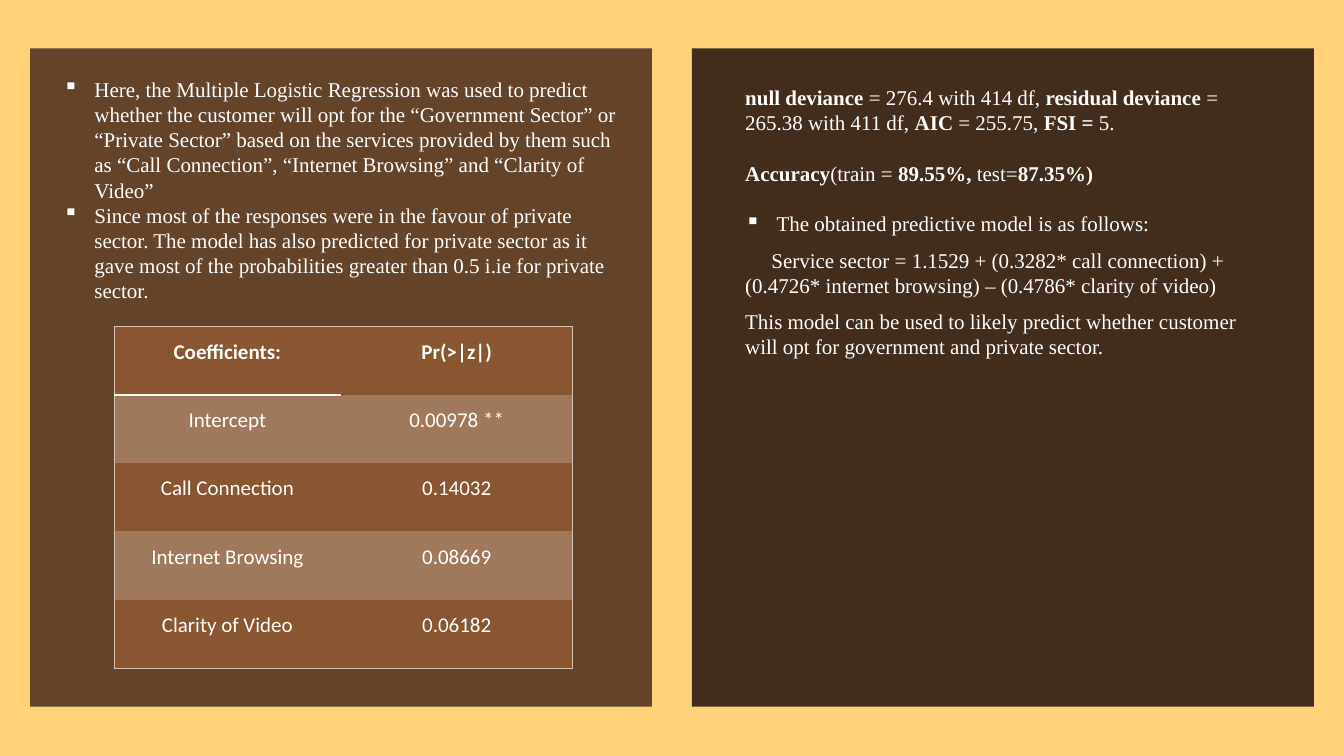
from lxml import etree
from pptx import Presentation
from pptx.dml.color import RGBColor
from pptx.enum import shapes, text
from pptx.oxml import ns
from pptx.util import Cm, Pt

SAND = RGBColor(0xFF, 0xD2, 0x7A)
BROWN = RGBColor(0x64, 0x43, 0x2B)
DARK_BROWN = RGBColor(0x42, 0x2C, 0x1C)
ROW_DARK = RGBColor(0x88, 0x57, 0x32)
ROW_LIGHT = RGBColor(0xA0, 0x78, 0x5B)
BORDER = RGBColor(0xCE, 0xC4, 0xBF)
WHITE = RGBColor(0xFF, 0xFF, 0xFF)

SERIF, SANS = "Times New Roman", "Calibri"
HANG = Cm(0.79)

FINDINGS = [
    "Here, the Multiple Logistic Regression was used to predict whether the customer "
    "will opt for the “Government Sector” or “Private Sector” based on the services "
    "provided by them such as “Call Connection”, “Internet Browsing” and “Clarity of Video”",
    "Since most of the responses were in the favour of private sector. The model has also "
    "predicted for private sector as it gave most of the probabilities greater than 0.5 "
    "i.ie for private sector.",
]
COEFFICIENTS = [
    ("Coefficients:", "Pr(>|z|)"),
    ("Intercept", "0.00978 **"),
    ("Call Connection", "0.14032"),
    ("Internet Browsing", "0.08669"),
    ("Clarity of Video", "0.06182"),
]
# Runs alternate between bold and regular, bold first
DEVIANCE = ["null deviance", " = 276.4 with 414 df, ", "residual deviance",
            " = 265.38 with 411 df, ", "AIC", " = 255.75, ", "FSI =", " 5."]
ACCURACY = ["Accuracy", "(train = ", "89.55%,", " test=", "87.35%)"]
MODEL_INTRO = "The obtained predictive model is as follows:"
MODEL = ("Service sector = 1.1529 + (0.3282* call connection) + "
         "(0.4726* internet browsing) – (0.4786* clarity of video)")
CONCLUSION = ("This model can be used to likely predict whether customer will opt for "
              "government and private sector.")


def write(tf, runs, font=SERIF, bold=False, align=text.PP_ALIGN.LEFT,
          spacing=Pt(18), after=0, bullet=False, indent=0):
    """Fill the next paragraph; a list of runs alternates bold and regular."""
    p = tf.paragraphs[0]
    if p.runs:
        p = tf.add_paragraph()
    p.alignment, p.line_spacing, p.space_after = align, spacing, Pt(after)
    pPr = p._p.get_or_add_pPr()
    pPr.set("marL", str(HANG if bullet else 0))
    pPr.set("indent", str(-HANG if bullet else indent))
    if bullet:
        etree.SubElement(pPr, ns.qn("a:buChar")).set("char", "▪")
    mixed = isinstance(runs, list)
    for i, part in enumerate(runs if mixed else [runs]):
        r = p.add_run()
        r.text = part
        r.font.name, r.font.size = font, Pt(15)
        r.font.bold = i % 2 == 0 if mixed else bold
        r.font.color.rgb = WHITE


def add_panel(slide, left, top, width, height, color):
    sp = slide.shapes.add_shape(shapes.MSO_SHAPE.RECTANGLE, left, top, width, height)
    sp.shadow.inherit = False
    sp.fill.solid()
    sp.fill.fore_color.rgb = color
    sp.line.fill.background()


def add_text_box(slide, left, top, width, height):
    tf = slide.shapes.add_textbox(left, top, width, height).text_frame
    tf.word_wrap = True
    return tf


def set_borders(cell, edges):
    """Draw the given edges, {side: (colour, points)}, and hide the others."""
    tcPr = cell._tc.get_or_add_tcPr()
    for side in "LRTB":
        ln = etree.SubElement(tcPr, ns.qn(f"a:ln{side}"))
        if side in edges:
            color, points = edges[side]
            ln.set("w", str(Pt(points)))
            fill = etree.SubElement(ln, ns.qn("a:solidFill"))
            etree.SubElement(fill, ns.qn("a:srgbClr")).set("val", str(color))
        else:
            etree.SubElement(ln, ns.qn("a:noFill"))


def add_coefficients(slide, left, top, col_widths, row_height):
    n = len(COEFFICIENTS)
    table = slide.shapes.add_table(n, len(col_widths), left, top,
                                   sum(col_widths), row_height * n).table
    table.first_row = table.horz_banding = False
    for col, width in zip(table.columns, col_widths):
        col.width = width
    for i, values in enumerate(COEFFICIENTS):
        table.rows[i].height = row_height
        for j, value in enumerate(values):
            cell = table.cell(i, j)
            # Outer frame, and a rule under the first heading
            edges = {"R" if j else "L": (BORDER, 0.5)}
            if i == 0:
                edges["T"] = (BORDER, 0.5)
            if i == n - 1:
                edges["B"] = (BORDER, 0.5)
            if (i, j) == (0, 0):
                edges["B"] = (WHITE, 1.5)
            if (i, j) == (1, 0):
                edges["T"] = (WHITE, 1.5)
            set_borders(cell, edges)
            cell.fill.solid()
            cell.fill.fore_color.rgb = ROW_LIGHT if i % 2 else ROW_DARK
            cell.margin_left = cell.margin_right = Cm(0.18)
            cell.margin_top = cell.margin_bottom = 0
            write(cell.text_frame, value, font=SANS, bold=i == 0,
                  align=text.PP_ALIGN.CENTER, spacing=1.5, after=8)


def add_findings(slide, left, top, width, height):
    add_panel(slide, left, top, width, height, BROWN)
    tf = add_text_box(slide, left + Cm(0.58), top + Cm(0.58), Cm(14.58), Cm(6.68))
    for finding in FINDINGS:
        write(tf, finding, bullet=True)
    add_coefficients(slide, left + Cm(2.11), top + Cm(7.01),
                     [Cm(5.72), Cm(5.84)], Cm(1.72))


def add_model(slide, left, top, width, height):
    add_panel(slide, left, top, width, height, DARK_BROWN)
    tf = add_text_box(slide, left + Cm(1.09), top + Cm(0.79), Cm(13.26), Cm(8.15))
    write(tf, DEVIANCE, after=18)
    write(tf, ACCURACY, after=18)
    write(tf, MODEL_INTRO, bullet=True, after=8)
    write(tf, MODEL, indent=Cm(0.66), after=8)
    write(tf, CONCLUSION, after=8)


def main():
    prs = Presentation()
    prs.slide_width, prs.slide_height = Cm(33.87), Cm(19.05)
    slide = prs.slides.add_slide(prs.slide_layouts[6])
    slide.background.fill.solid()
    slide.background.fill.fore_color.rgb = SAND

    # Two equal panels, left and right
    top, width, height = Cm(1.22), Cm(15.67), Cm(16.59)
    add_findings(slide, Cm(0.76), top, width, height)
    add_model(slide, Cm(17.44), top, width, height)
    prs.save("out.pptx")


if __name__ == "__main__":
    main()
